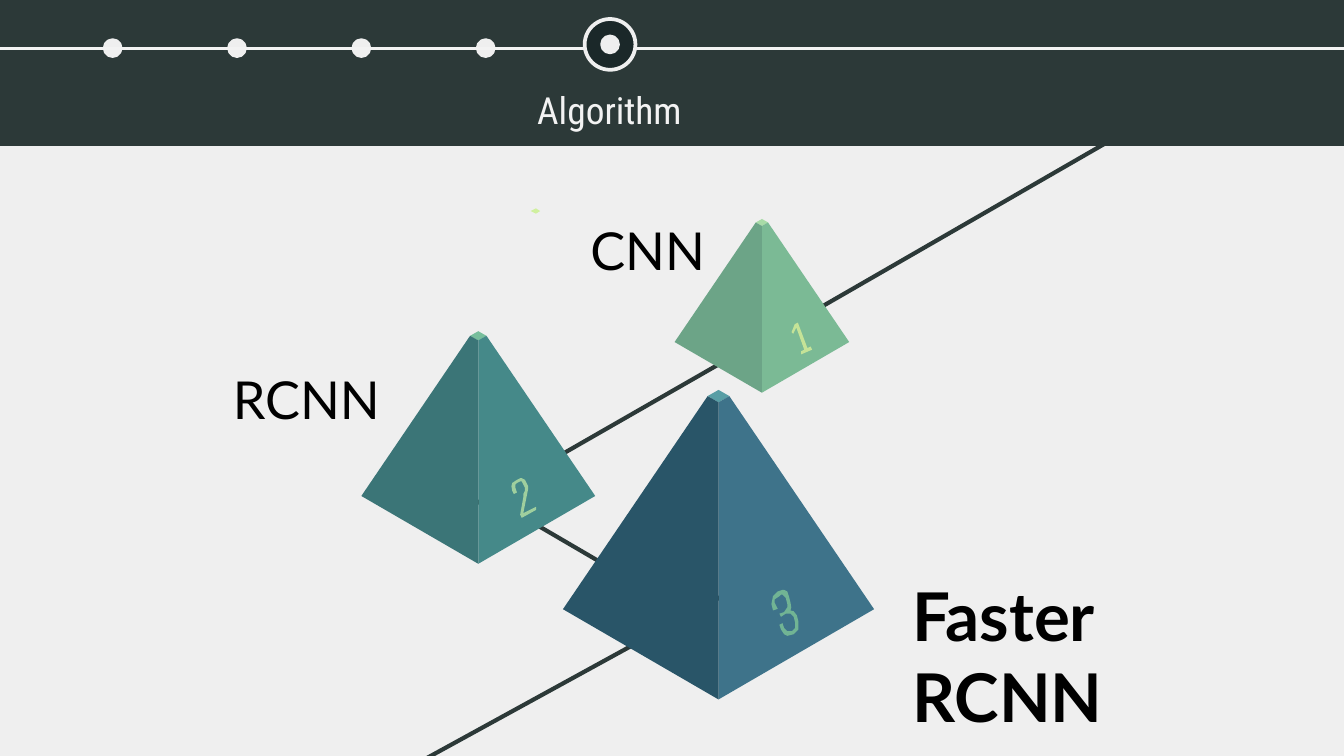
from dataclasses import dataclass

from lxml import etree
from pptx import Presentation
from pptx.dml.color import RGBColor
from pptx.enum.shapes import MSO_CONNECTOR, MSO_SHAPE
from pptx.enum.text import MSO_ANCHOR, MSO_AUTO_SIZE, PP_ALIGN
from pptx.oxml.ns import qn
from pptx.util import Cm, Pt

STRAIGHT = MSO_CONNECTOR.STRAIGHT
RECTANGLE, OVAL = MSO_SHAPE.RECTANGLE, MSO_SHAPE.OVAL
LEFT, CENTER = PP_ALIGN.LEFT, PP_ALIGN.CENTER
BOTTOM = MSO_ANCHOR.BOTTOM
NO_FIT, GROW = MSO_AUTO_SIZE.NONE, MSO_AUTO_SIZE.SHAPE_TO_FIT_TEXT


@dataclass(frozen=True)
class Theme:
    paper: str = "EFEFEF"
    band: str = "2C3938"
    ring: str = "1B2829"
    timeline: str = "F3F3F3"
    ink: str = "000000"
    spark: str = "D0F09F"
    label_font: str = "Lato"
    title_font: str = "Roboto Condensed"
    title_size: int = 20
    label_size: int = 28
    focus_size: int = 36
    outline: float = 2
    road: float = 2.25
    track: float = 1.5


@dataclass(frozen=True)
class Pyramid:
    apex: tuple
    half: float
    left_face: str
    right_face: str
    cap: str
    numeral: str
    numeral_at: tuple
    numeral_outline: tuple


PYRAMIDS = (
    Pyramid((14.4, 4.14), 1.65, "6CA487", "7BBA95", "A8DBA7", "C5E397", (14.96, 6.1), (
        (4, 0), (2, 1), (0, 6), (1, 7), (3, 3), (8, 17), (6, 18), (6, 20),
        (13, 17), (12, 15), (10, 16))),
    Pyramid((9.04, 6.26), 2.21, "3B7577", "458989", "77BE9C", "9FCF9E", (9.65, 9.04), (
        (6, 0), (4, 1), (1, 3), (0.5, 5), (1, 8), (2, 10), (4, 9), (3, 6), (3, 4),
        (4, 3), (6, 2), (7, 2), (8, 4), (9, 6), (9, 8), (8, 10), (8, 12), (6, 23),
        (7, 25), (16, 20), (16, 18), (8, 22), (10, 12), (11, 7), (11, 5), (10, 3),
        (9, 1), (7, 0))),
    Pyramid((13.58, 7.37), 2.94, "295568", "3E738A", "589EA5", "71B494", (14.55, 11.15), (
        (8, 0), (5, 1), (2, 4), (1, 9), (2, 13), (5, 12), (3, 8), (3, 6), (6, 4),
        (7, 3), (8, 3), (10, 5), (11, 9), (11, 11), (9, 14), (6, 15), (7, 17),
        (10, 15), (13, 15), (15, 17), (16, 21), (16, 24), (14, 26), (11, 26),
        (9, 24), (8, 21), (6, 22), (7, 25), (9, 28), (11, 29), (15, 28), (18, 25),
        (18, 20), (17, 16), (15, 13.5), (13, 13), (13.5, 11), (13, 8), (12, 4),
        (11, 1), (9, 0))),
)
NUMERAL_UNIT = 0.03
CAP_HALF, SHOULDER, CAP_FRONT, CORNER, FRONT = 0.07, 0.04, 0.08, 1.41, 1.99

ROADS = (
    (14.83, 6.2, 21.01, 2.64),
    (14.1, 11.02, 7.19, 14.81),
    (9.25, 9.4, 13.46, 11.86),
    (8.94, 9.55, 14.38, 6.43),
)


class SlideBuilder:
    def __init__(self, slide, theme):
        self.slide = slide
        self.theme = theme
        background = slide.background.fill
        background.solid()
        background.fore_color.rgb = RGBColor.from_string(theme.paper)

    def paint(self, shape, fill, outline=None):
        shape.shadow.inherit = False
        shape.fill.solid()
        shape.fill.fore_color.rgb = RGBColor.from_string(fill)
        if outline:
            shape.line.color.rgb = RGBColor.from_string(outline)
            shape.line.width = Pt(self.theme.outline)
        else:
            shape.line.fill.background()
        return shape

    def shape(self, preset, left, top, width, height, fill, outline=None):
        added = self.slide.shapes.add_shape(
            preset, Cm(left), Cm(top), Cm(width), Cm(height))
        return self.paint(added, fill, outline)

    def dot(self, left, top):
        return self.shape(OVAL, left, top, 0.3, 0.3, self.theme.paper, self.theme.paper)

    def line(self, x1, y1, x2, y2, color, width):
        added = self.slide.shapes.add_connector(STRAIGHT, Cm(x1), Cm(y1), Cm(x2), Cm(y2))
        added.line.color.rgb = RGBColor.from_string(color)
        added.line.width = Pt(width)
        etree.SubElement(added._element.spPr, qn("a:effectLst"))

    def polygon(self, points, fill, origin=(0, 0), unit=1):
        corners = [(Cm(origin[0] + x * unit), Cm(origin[1] + y * unit)) for x, y in points]
        outline = self.slide.shapes.build_freeform(*corners[0])
        outline.add_line_segments(corners[1:], close=True)
        return self.paint(outline.convert_to_shape(), fill)

    def group(self, *members):
        self.slide.shapes.add_group_shape(members)

    def pyramid(self, item):
        front, cap_front = (0, FRONT), (0, CAP_FRONT)
        left, right = [
            ((side * CAP_HALF, SHOULDER), (side, CORNER), front, cap_front)
            for side in (-1, 1)]
        cap = ((0, 0), (-CAP_HALF, SHOULDER), cap_front, (CAP_HALF, SHOULDER))
        faces = ((cap, item.cap), (right, item.right_face), (left, item.left_face))
        self.group(
            *[self.polygon(points, fill, item.apex, item.half) for points, fill in faces],
            self.polygon(item.numeral_outline, item.numeral, item.numeral_at, NUMERAL_UNIT))

    def add_words(self, frame, words, font, size, color, align, bold=False):
        frame.word_wrap = True
        paragraph = frame.paragraphs[0]
        paragraph.alignment = align
        run = paragraph.add_run()
        run.text = words
        run.font.name = font
        run.font.size = Pt(size)
        run.font.bold = bold
        run.font.color.rgb = RGBColor.from_string(color)

    def label(self, words, left, top, width, height, size, align=CENTER, bold=False):
        frame = self.slide.shapes.add_textbox(
            Cm(left), Cm(top), Cm(width), Cm(height)).text_frame
        self.add_words(frame, words, self.theme.label_font, size, self.theme.ink, align, bold)
        frame.auto_size = GROW

    def title(self, words, left, top, width, height):
        heading = self.slide.shapes.title
        heading.left, heading.top = Cm(left), Cm(top)
        heading.width, heading.height = Cm(width), Cm(height)
        frame = heading.text_frame
        frame.auto_size = NO_FIT
        frame.vertical_anchor = BOTTOM
        frame.margin_left = frame.margin_right = Cm(0.25)
        frame.margin_top = frame.margin_bottom = Cm(0.25)
        self.add_words(frame, words, self.theme.title_font, self.theme.title_size,
                       self.theme.timeline, CENTER)
        self.slide.shapes._spTree.append(heading._element)


def main():
    deck = Presentation()
    deck.slide_width, deck.slide_height = Cm(25.4), Cm(14.29)
    theme = Theme()
    page = SlideBuilder(deck.slides.add_slide(deck.slide_layouts[5]), theme)

    page.shape(RECTANGLE, -0.03, -0.13, 25.98, 3.51, theme.band)
    page.shape(RECTANGLE, 0, 2.79, 25.4, 11.5, theme.paper, theme.paper)
    for road in ROADS:
        page.line(*road, theme.band, theme.road)
    page.polygon(((10.13, 3.94), (10.03, 3.99), (10.13, 4.04), (10.21, 3.99)), theme.spark)
    for item in PYRAMIDS:
        page.pyramid(item)

    page.label("CNN", 10.36, 4.01, 3.76, 1.45, theme.label_size)
    page.label("RCNN", 3.91, 6.81, 3.76, 1.45, theme.label_size)
    page.label("Faster RCNN", 16.99, 10.74, 7.6, 1.8, theme.focus_size, LEFT, True)

    first_step, step_gap, current_step = 1.98, 2.35, 4
    for step in range(current_step):
        page.dot(first_step + step * step_gap, 0.76)
    page.line(0, 0.91, 25.73, 0.91, theme.timeline, theme.track)
    page.group(
        page.shape(OVAL, 11.05, 0.36, 0.96, 0.96, theme.ring, theme.paper),
        page.dot(first_step + current_step * step_gap, 0.69))
    page.title("Algorithm", 8.84, 1.73, 5.36, 1.02)

    deck.save("out.pptx")


if __name__ == "__main__":
    main()
